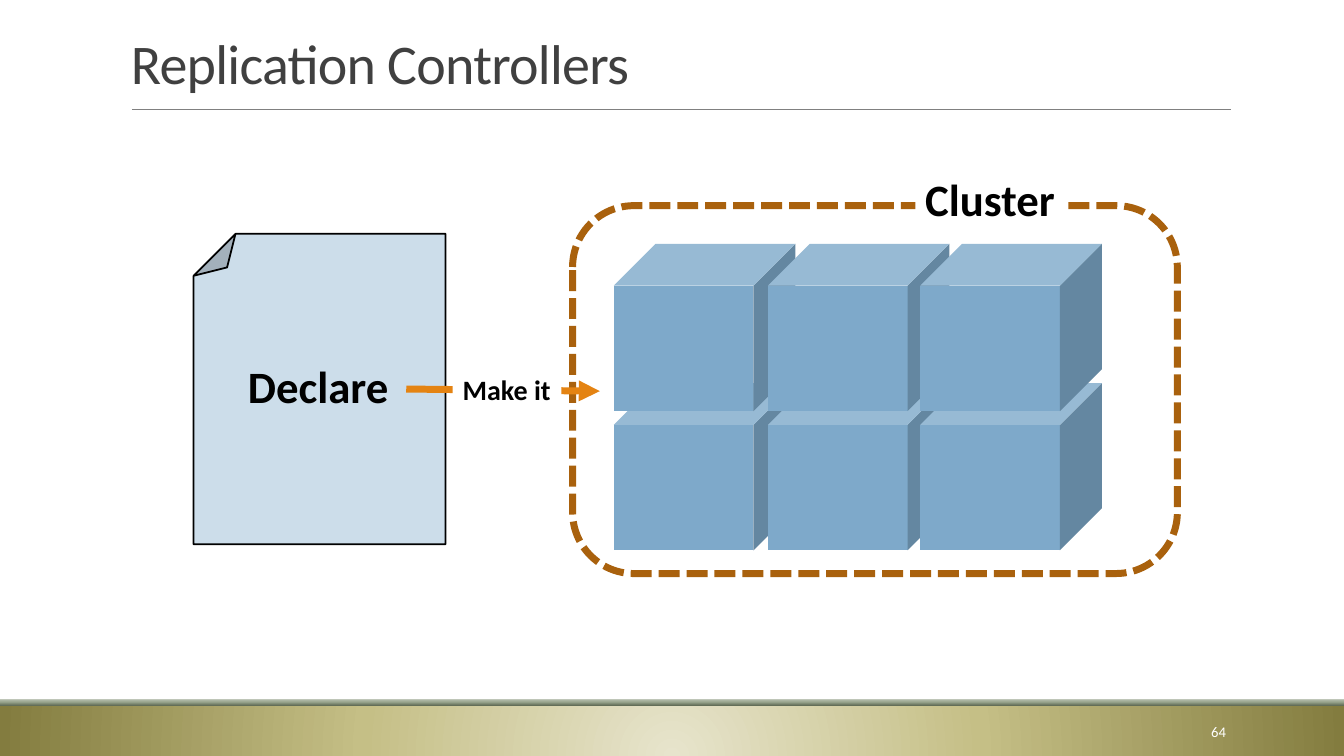
"""Build the Replication Controllers slide."""
from typing import NamedTuple, Optional

from lxml import etree
from pptx import Presentation, oxml
from pptx.dml.color import RGBColor
from pptx.enum import dml, shapes, text
from pptx.oxml import ns
from pptx.util import Pt

WHITE = RGBColor(0xFF, 0xFF, 0xFF)
BLACK = RGBColor(0, 0, 0)
DARK = RGBColor(0x40, 0x40, 0x40)
GRAY = RGBColor(0x80, 0x80, 0x80)
PALE = RGBColor(0xCC, 0xDD, 0xEA)
BLUE = RGBColor(0x7E, 0xA9, 0xCA)
BROWN = RGBColor(0xA9, 0x61, 0x0D)
AMBER = RGBColor(0xE4, 0x83, 0x12)
OLIVE = ((0, RGBColor(0xE7, 0xE4, 0xCC)), (46, RGBColor(0xC5, 0xBF, 0x86)),
         (100, RGBColor(0x83, 0x7C, 0x3F)))
SAGE = ((0, RGBColor(0x63, 0x6E, 0x58)), (48, RGBColor(0x97, 0xA3, 0x8C)),
        (100, RGBColor(0xBF, 0xC6, 0xB8)))
GLOW = ('<a:path path="circle"><a:fillToRect l="50000" t="130000" '
        'r="50000" b="-30000"/></a:path>')
RISE = '<a:lin ang="16200000" scaled="0"/>'
KIND = shapes.MSO_SHAPE
CUBE_X = (438.5, 548.6, 657.4)
CUBE_Y = (273.6, 174.2)


class Box(NamedTuple):
    left: float
    top: float
    width: float
    height: float


class Band(NamedTuple):
    box: Box
    stops: tuple
    shade: str


class Label(NamedTuple):
    words: str
    box: Box
    size: float
    color: RGBColor = BLACK
    bold: bool = True
    wrap: bool = False
    fill: Optional[RGBColor] = None
    align: text.PP_ALIGN = text.PP_ALIGN.LEFT
    anchor: text.MSO_ANCHOR = text.MSO_ANCHOR.TOP


BANDS = (Band(Box(0, 504, 960, 36), OLIVE, GLOW),
         Band(Box(0, 499, 960, 5), SAGE, RISE))
TITLE = Label("Replication Controllers", Box(86.4, 22.3, 792, 49.7), 40, DARK,
              bold=False, wrap=True, anchor=text.MSO_ANCHOR.BOTTOM)
PAGE = Label("64", Box(779.8, 508.3, 103, 28.8), 10.5, WHITE, bold=False,
             wrap=True, align=text.PP_ALIGN.RIGHT, anchor=text.MSO_ANCHOR.MIDDLE)
DECLARE = Label("Declare", Box(169.9, 252.7, 115.9, 46.1), 32)
CLUSTER = Label("Cluster", Box(653.8, 118.8, 108, 46.1), 32, fill=WHITE)
MAKE = Label("Make it", Box(323.3, 262.8, 77.8, 31.7), 20, fill=WHITE)


def add_form(slide, kind: shapes.MSO_SHAPE, box: Box,
             fill: Optional[RGBColor] = None):
    form = slide.shapes.add_shape(kind, *map(Pt, box))
    form.shadow.inherit = False
    form.line.fill.background()
    if fill is None:
        form.fill.background()
    else:
        form.fill.solid()
        form.fill.fore_color.rgb = fill
    return form


def add_band(slide, band: Band) -> None:
    form = add_form(slide, KIND.RECTANGLE, band.box)
    stops = "".join(f'<a:gs pos="{pos * 1000}"><a:srgbClr val="{color}"/></a:gs>'
                    for pos, color in band.stops)
    fill = oxml.parse_xml(f'<a:gradFill {ns.nsdecls("a")} rotWithShape="1">'
                          f'<a:gsLst>{stops}</a:gsLst>{band.shade}</a:gradFill>')
    props = form._element.spPr
    props.replace(props.find(ns.qn("a:noFill")), fill)


def add_label(slide, label: Label):
    if label.fill is None:
        form = slide.shapes.add_textbox(*map(Pt, label.box))
    else:
        form = add_form(slide, KIND.RECTANGLE, label.box, label.fill)
    frame = form.text_frame
    frame.word_wrap = label.wrap
    frame.auto_size = (text.MSO_AUTO_SIZE.NONE if label.wrap
                       else text.MSO_AUTO_SIZE.SHAPE_TO_FIT_TEXT)
    frame.vertical_anchor = label.anchor
    para = frame.paragraphs[0]
    para.alignment = label.align
    run = para.add_run()
    run.text = label.words
    run.font.name = "Calibri"
    run.font.size = Pt(label.size)
    run.font.bold = label.bold
    run.font.color.rgb = label.color
    return para


def add_line(slide, ends: tuple, color: RGBColor, width: float):
    line = slide.shapes.add_connector(shapes.MSO_CONNECTOR.STRAIGHT,
                                      *map(Pt, ends))
    line.line.color.rgb = color
    line.line.width = Pt(width)
    etree.SubElement(line._element.spPr, ns.qn("a:effectLst"))
    return line


def main() -> None:
    deck = Presentation()
    deck.slide_width, deck.slide_height = Pt(960), Pt(540)
    slide = deck.slides.add_slide(deck.slide_layouts[6])

    for band in BANDS:
        add_band(slide, band)
    add_line(slide, (94.3, 77.8, 879.1, 77.8), GRAY, 0.5)
    title = add_label(slide, TITLE)
    title.line_spacing = 0.85
    title.runs[0].font._element.set("spc", "-50")
    add_label(slide, PAGE)

    sheet = add_form(slide, KIND.FOLDED_CORNER, Box(138.2, 167, 180, 221.8), PALE)
    sheet.rotation = 180
    sheet.line.color.rgb = BLACK
    sheet.line.width = Pt(1.25)
    add_label(slide, DECLARE)

    frame = add_form(slide, KIND.ROUNDED_RECTANGLE, Box(409, 146.9, 432, 262.8))
    frame.line.color.rgb = BROWN
    frame.line.width = Pt(5)
    frame.line.dash_style = dml.MSO_LINE.SQUARE_DOT
    for top in CUBE_Y:
        for left in CUBE_X:
            add_form(slide, KIND.CUBE, Box(left, top, 129.6, 119.5), BLUE)
    add_label(slide, CLUSTER)

    arrow = add_line(slide, (290.2, 277.9, 428.4, 279.4), AMBER, 5)
    etree.SubElement(arrow.line._get_or_add_ln(), ns.qn("a:tailEnd"),
                     type="triangle")
    add_label(slide, MAKE)
    deck.save("out.pptx")


if __name__ == "__main__":
    main()
